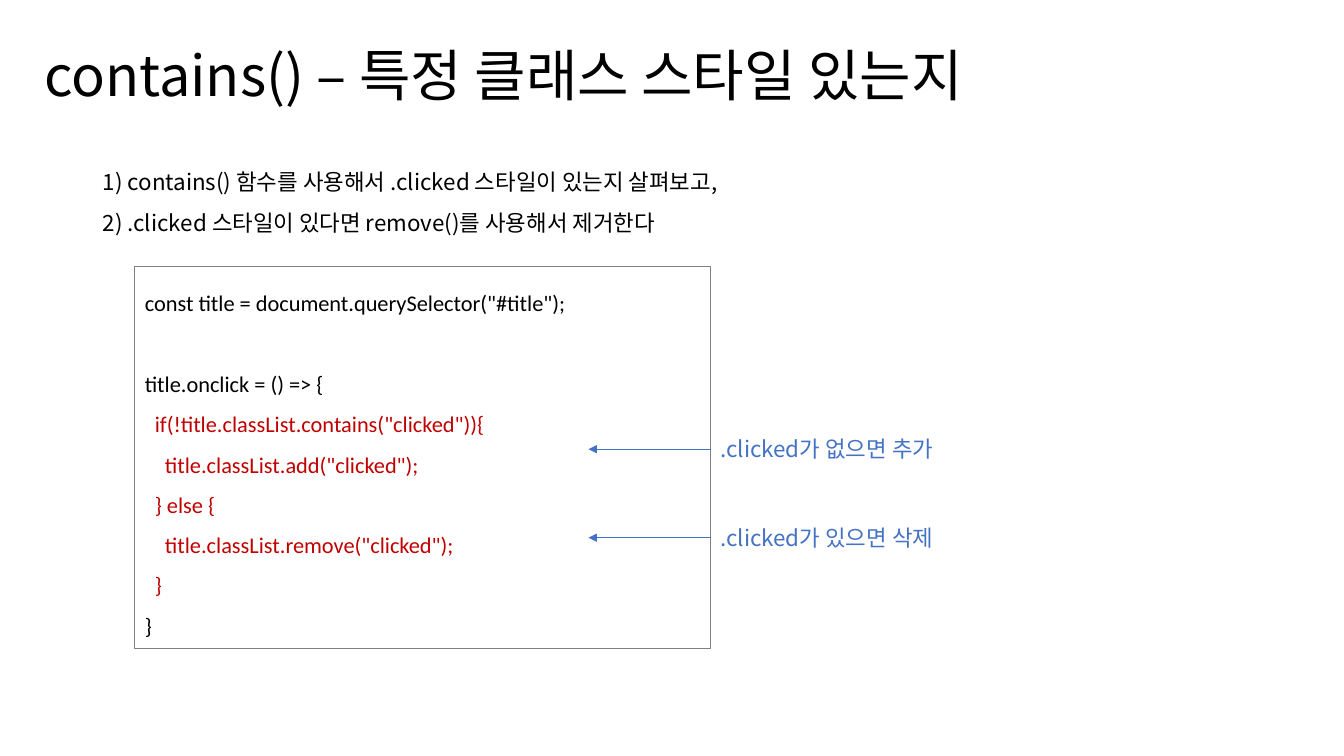
from dataclasses import dataclass

from lxml import etree
from pptx import Presentation
from pptx.dml.color import RGBColor
from pptx.enum.shapes import MSO_CONNECTOR, MSO_SHAPE
from pptx.enum.text import MSO_ANCHOR, MSO_AUTO_SIZE, PP_ALIGN
from pptx.oxml.ns import qn
from pptx.util import Cm, Pt

RECTANGLE = MSO_SHAPE.RECTANGLE
STRAIGHT = MSO_CONNECTOR.STRAIGHT
LEFT = PP_ALIGN.LEFT
TOP, MIDDLE = MSO_ANCHOR.TOP, MSO_ANCHOR.MIDDLE
NO_AUTOFIT = MSO_AUTO_SIZE.NONE

BLACK, RED, BLUE, GRAY = "000000", "C00000", "4472C4", "808080"
KOREAN, LATIN = "Noto Sans CJK KR", "Calibri"


@dataclass
class Line:
    text: str
    color: str = BLACK


@dataclass
class Callout:
    text: str
    top: float


TITLE = [Line("contains() – 특정 클래스 스타일 있는지")]
STEPS = [
    Line("1) contains() 함수를 사용해서 .clicked 스타일이 있는지 살펴보고,"),
    Line("2) .clicked 스타일이 있다면 remove()를 사용해서 제거한다"),
]
CODE = [
    Line('const title = document.querySelector("#title");'),
    Line("\vtitle.onclick = () => {"),
    Line('  if(!title.classList.contains("clicked")){', RED),
    Line('    title.classList.add("clicked");', RED),
    Line("  } else {", RED),
    Line('    title.classList.remove("clicked");', RED),
    Line("  }", RED),
    Line("}"),
]
CALLOUTS = [
    Callout(".clicked가 없으면 추가", 10.85),
    Callout(".clicked가 있으면 삭제", 13.08),
]
CALLOUT_LEFT, CALLOUT_WIDTH, CALLOUT_HEIGHT = 17.91, 10.72, 0.94
ARROW_TIP = 14.83


def rgb(color: str) -> RGBColor:
    return RGBColor.from_string(color)


def write(sp, lines: list[Line], font: str, size: float = 16,
          spacing: float = 1.0, anchor=TOP) -> None:
    tf = sp.text_frame
    tf.word_wrap = True
    tf.auto_size = NO_AUTOFIT
    tf.vertical_anchor = anchor
    for i, line in enumerate(lines):
        p = tf.paragraphs[0] if i == 0 else tf.add_paragraph()
        p.text = line.text
        p.alignment = LEFT
        p.line_spacing = spacing
        p.font.size = Pt(size)
        p.font.name = font
        p.font.color.rgb = rgb(line.color)
        # Hangul takes its typeface from the East Asian font
        latin = p.font._element.find(qn("a:latin"))
        ea = etree.Element(qn("a:ea"), typeface=font)
        latin.addnext(ea)


def add_text(slide, left: float, top: float, width: float, height: float,
             lines: list[Line], spacing: float = 1.0) -> None:
    sp = slide.shapes.add_textbox(Cm(left), Cm(top), Cm(width), Cm(height))
    write(sp, lines, KOREAN, spacing=spacing)


def add_arrow(slide, start: float, end: float, y: float) -> None:
    arrow = slide.shapes.add_connector(STRAIGHT, Cm(start), Cm(y), Cm(end), Cm(y))
    arrow.line.color.rgb = rgb(BLUE)
    arrow.line.width = Pt(0.5)
    etree.SubElement(arrow.line._get_or_add_ln(), qn("a:tailEnd"), type="triangle")
    etree.SubElement(arrow._element.spPr, qn("a:effectLst"))


def main() -> None:
    prs = Presentation()
    prs.slide_width, prs.slide_height = Cm(33.87), Cm(19.05)
    slide = prs.slides.add_slide(prs.slide_layouts[5])

    # Title
    title = slide.shapes.title
    title.left, title.top = Cm(0.86), Cm(0.89)
    title.width, title.height = Cm(26.97), Cm(1.96)
    write(title, TITLE, KOREAN, size=40)

    # Steps
    add_text(slide, 2.34, 3.78, 23.04, 2.18, STEPS, spacing=1.5)

    # Code box
    box = slide.shapes.add_shape(RECTANGLE, Cm(3.4), Cm(6.71), Cm(14.5), Cm(9.63))
    box.shadow.inherit = False
    box.fill.background()
    box.line.color.rgb = rgb(GRAY)
    box.line.width = Pt(0.75)
    write(box, CODE, LATIN, spacing=1.5, anchor=MIDDLE)

    # Callouts with arrows into the code
    for callout in CALLOUTS:
        add_text(slide, CALLOUT_LEFT, callout.top, CALLOUT_WIDTH, CALLOUT_HEIGHT,
                 [Line(callout.text, BLUE)])
        add_arrow(slide, CALLOUT_LEFT, ARROW_TIP, callout.top + CALLOUT_HEIGHT / 2)

    prs.save("out.pptx")


if __name__ == "__main__":
    main()
